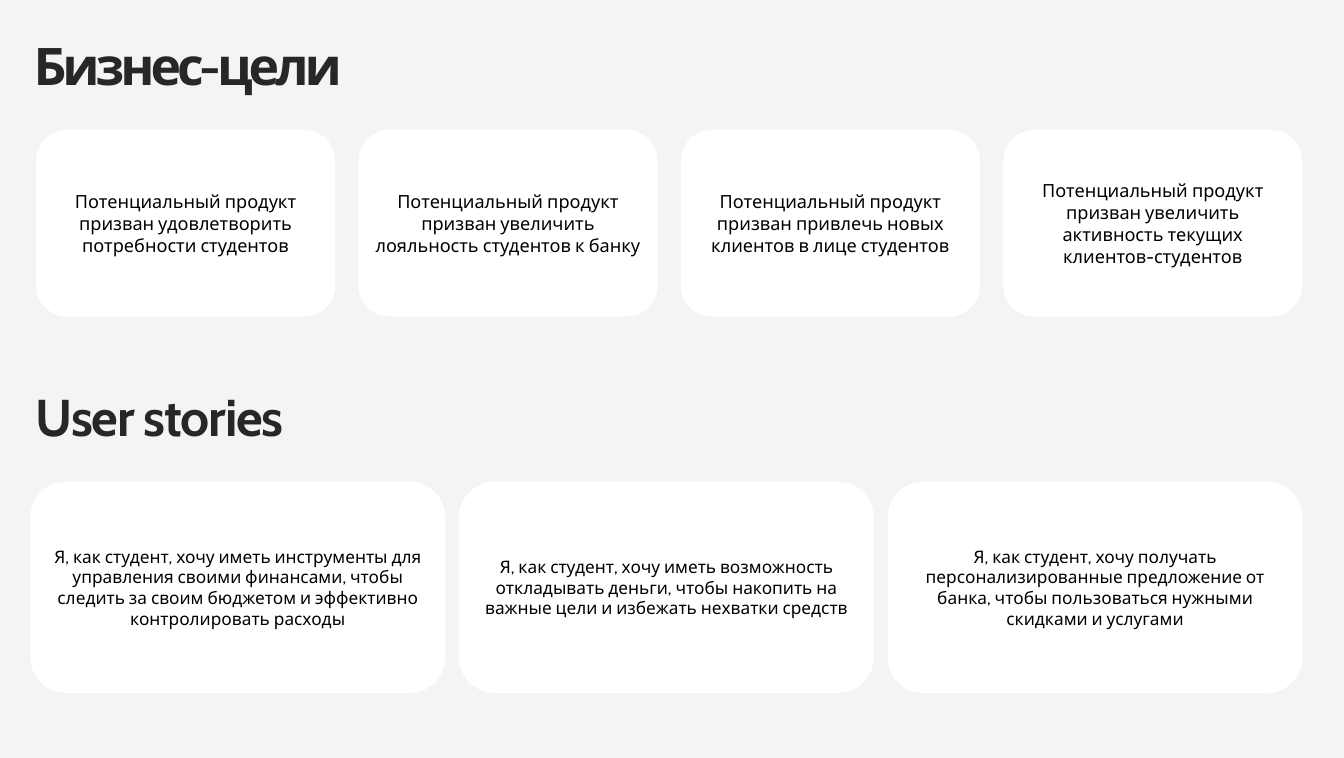
from pptx import Presentation, util as u
from pptx.dml.color import RGBColor
from pptx.enum import shapes, text

COLUMNS, ROWS = 21.65, 12.21
CELL = u.Inches(1)
RIGHT_EDGE = 20.98
FONT = "Cabin"
PAPER = RGBColor(0xF4, 0xF4, 0xF7)
WHITE = RGBColor(0xFF, 0xFF, 0xFF)
BLACK = RGBColor(0x00, 0x00, 0x00)
GRAPHITE = RGBColor(0x27, 0x27, 0x27)

GOALS = [
    ["Потенциальный продукт призван удовлетворить", "потребности студентов"],
    ["Потенциальный продукт призван увеличить лояльность студентов к банку"],
    ["Потенциальный продукт призван привлечь новых клиентов в лице студентов"],
    ["Потенциальный продукт призван увеличить активность текущих клиентов-студентов"],
]
STORIES = [
    ["Я, как студент, хочу иметь инструменты для управления своими финансами, "
     "чтобы следить за своим бюджетом и эффективно контролировать расходы"],
    ["Я, как студент, хочу иметь возможность откладывать деньги, "
     "чтобы накопить на важные цели и избежать нехватки средств"],
    ["Я, как студент, хочу получать персонализированные предложение от банка, "
     "чтобы пользоваться нужными скидками и услугами"],
]


def grid(*cells):
    """Turn grid columns and rows into slide lengths."""
    return [round(cell * CELL) for cell in cells]


def add_span(para, words, size, color, bold=False):
    span = para.add_run()
    span.text = words
    span.font.name = FONT
    span.font.size = u.Pt(size)
    span.font.bold = bold
    span.font.color.rgb = color
    return span


def write_heading(box, words, left, top, tracking):
    """Place a heading; tracking is letter spacing in points."""
    box.left, box.top, box.width, box.height = grid(left, top, 10.57, 1.03)
    frame = box.text_frame
    frame.word_wrap = True
    frame.auto_size = text.MSO_AUTO_SIZE.NONE
    frame.vertical_anchor = text.MSO_ANCHOR.TOP
    frame.margin_left = frame.margin_right = frame.margin_bottom = 0
    frame.margin_top = u.Inches(0.01)
    para = frame.paragraphs[0]
    para.alignment = text.PP_ALIGN.LEFT
    span = add_span(para, words, 60, GRAPHITE, bold=True)
    span.font._element.set("spc", str(round(tracking * 100)))


def add_card(page, lines, left, top, width, height, size):
    card = page.shapes.add_shape(
        shapes.MSO_SHAPE.ROUNDED_RECTANGLE, *grid(left, top, width, height))
    card.shadow.inherit = False
    card.fill.solid()
    card.fill.fore_color.rgb = WHITE
    card.line.fill.background()
    frame = card.text_frame
    frame.word_wrap = True
    frame.vertical_anchor = text.MSO_ANCHOR.MIDDLE
    for number, line in enumerate(lines):
        para = frame.add_paragraph() if number else frame.paragraphs[0]
        para.alignment = text.PP_ALIGN.CENTER
        add_span(para, line, size, BLACK)


def add_card_row(page, cards, left, top, width, height, size):
    """Spread equal cards evenly from left to the right edge."""
    pitch = (RIGHT_EDGE - left - width) / (len(cards) - 1)
    for number, lines in enumerate(cards):
        add_card(page, lines, left + number * pitch, top, width, height, size)


def main():
    deck = Presentation()
    deck.slide_width, deck.slide_height = grid(COLUMNS, ROWS)
    page = deck.slides.add_slide(deck.slide_layouts.get_by_name("Title Only"))
    page.background.fill.solid()
    page.background.fill.fore_color.rgb = PAPER

    write_heading(page.shapes.title, "Бизнес-цели", 0.54, 0.54, -4.7)
    add_card_row(page, GOALS, 0.58, 2.09, 4.82, 3.01, 21)

    stories_heading = page.shapes.add_textbox(0, 0, CELL, CELL)
    write_heading(stories_heading, "User stories", 0.58, 6.19, -1.5)
    add_card_row(page, STORIES, 0.49, 7.76, 6.68, 3.4, 20)

    deck.save("out.pptx")


if __name__ == "__main__":
    main()
